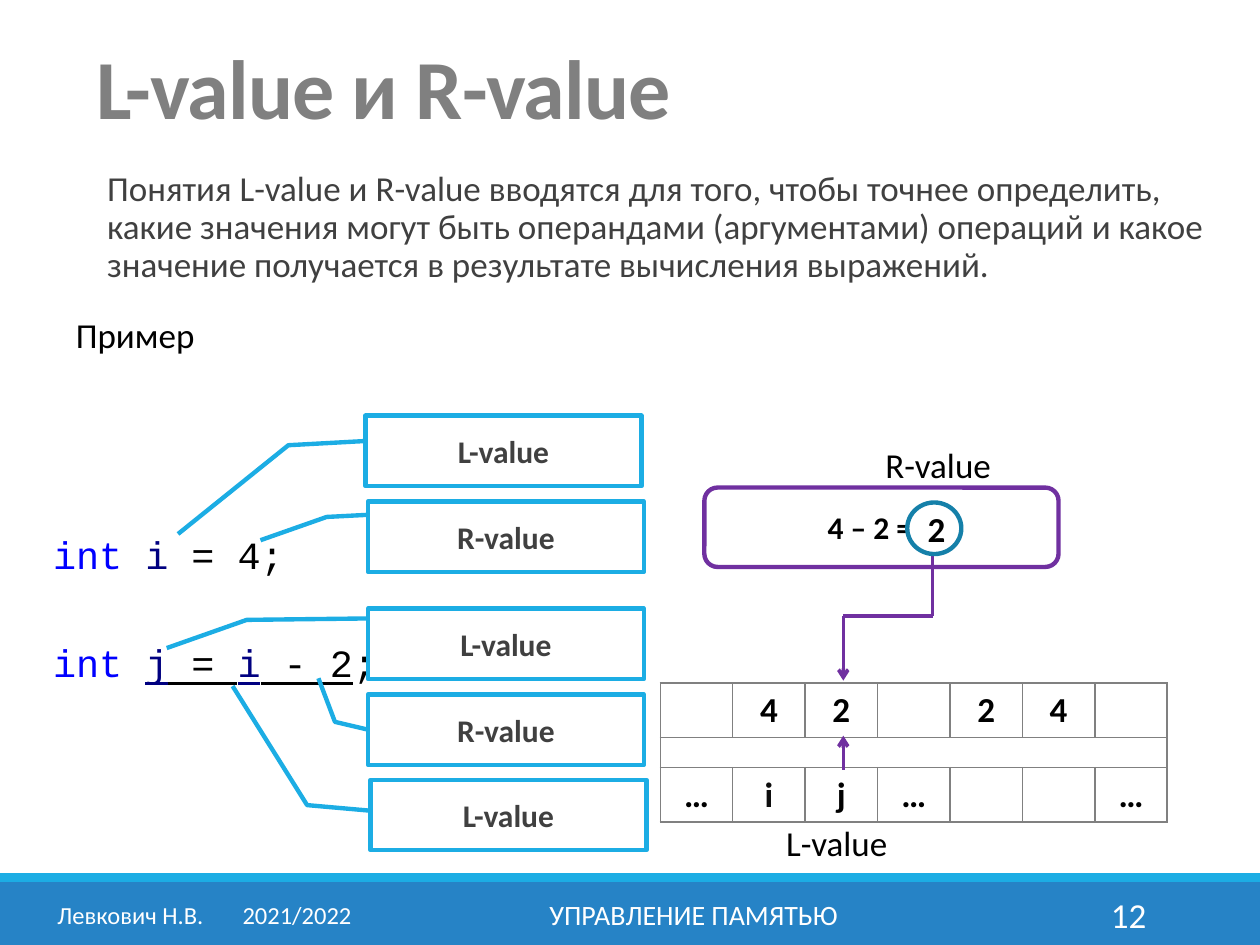
"""Build a slide explaining L-value and R-value with a memory table."""
from lxml import etree
from pptx import Presentation
from pptx import util as u
from pptx.dml.color import RGBColor
from pptx.enum import shapes, text
from pptx.oxml import ns

BLACK = RGBColor(0, 0, 0)
WHITE = RGBColor(0xFF, 0xFF, 0xFF)
GRAY = RGBColor(0x80, 0x80, 0x80)
DARK = RGBColor(0x40, 0x40, 0x40)
INK = RGBColor(0x0D, 0x0D, 0x0D)
BLUE = RGBColor(0x26, 0x83, 0xC6)
SKY = RGBColor(0x1C, 0xAD, 0xE4)
TEAL = RGBColor(0x15, 0x80, 0xA9)
PURPLE = RGBColor(0x70, 0x30, 0xA0)
KEYWORD = RGBColor(0, 0, 0xFF)
VARIABLE = RGBColor(0, 0, 0x80)

SHAPE = shapes.MSO_SHAPE
LEFT, CENTER, RIGHT = text.PP_ALIGN.LEFT, text.PP_ALIGN.CENTER, text.PP_ALIGN.RIGHT
TOP, MIDDLE, BOTTOM = text.MSO_ANCHOR.TOP, text.MSO_ANCHOR.MIDDLE, text.MSO_ANCHOR.BOTTOM


def add_xml(parent, tag, **attributes):
    return etree.SubElement(parent, ns.qn(tag), attributes)


class Board:
    def __init__(self, slide, face="Calibri"):
        self.slide = slide
        self.face = face

    def style(self, paragraph, size, color=BLACK, bold=False, align=LEFT, face=None):
        paragraph.alignment = align
        font = paragraph.font
        font.name, font.size, font.bold = face or self.face, u.Pt(size), bold
        font.color.rgb = color

    def label(self, box, words, size, color=BLACK, bold=False, align=LEFT,
              anchor=TOP, inset=0.25, spacing=None, indent=0, tab=None):
        frame = self.slide.shapes.add_textbox(*map(u.Cm, box)).text_frame
        frame.word_wrap = True
        frame.vertical_anchor = anchor
        frame.margin_left = frame.margin_right = u.Cm(inset)
        paragraph = frame.paragraphs[0]
        paragraph.text = words
        paragraph.line_spacing = spacing
        properties = paragraph._p.get_or_add_pPr()
        if indent:
            properties.set("marL", str(u.Cm(indent)))
        if tab:
            stops = add_xml(properties, "a:tabLst")
            add_xml(stops, "a:tab", pos=str(u.Cm(tab)), algn="l")
        self.style(paragraph, size, color, bold, align)
        return frame

    def code(self, frame, pieces, size, space_before):
        line = frame.add_paragraph()
        line.space_before = u.Pt(space_before)
        self.style(line, size, face="Courier New")
        for words, color, underline in pieces:
            run = line.add_run()
            run.text = words
            run.font.color.rgb = color
            if underline:
                run.font.underline = True

    def shape(self, kind, box, fill=None, line=None, words="", size=18,
              color=BLACK, adjustments=()):
        shape = self.slide.shapes.add_shape(kind, *map(u.Cm, box))
        shape.shadow.inherit = False
        for index, value in enumerate(adjustments):
            shape.adjustments[index] = value
        if fill is None:
            shape.fill.background()
        else:
            shape.fill.solid()
            shape.fill.fore_color.rgb = fill
        if line is None:
            shape.line.fill.background()
        else:
            shape.line.color.rgb = line
            shape.line.width = u.Pt(2.5)
        if words:
            shape.text_frame.vertical_anchor = MIDDLE
            paragraph = shape.text_frame.paragraphs[0]
            paragraph.text = words
            self.style(paragraph, size, color, True, CENTER)

    def line(self, start, end, arrow=False):
        line = self.slide.shapes.add_connector(
            shapes.MSO_CONNECTOR.STRAIGHT, *map(u.Cm, (*start, *end)))
        line.line.color.rgb = PURPLE
        line.line.width = u.Pt(2)
        if arrow:
            add_xml(line.line._get_or_add_ln(), "a:headEnd", type="arrow")
        add_xml(line._element.spPr, "a:effectLst")

    def border(self, cell, sides):
        properties = cell._tc.get_or_add_tcPr()
        for position, side in enumerate("LRTB"):
            edge = etree.Element(ns.qn(f"a:ln{side}"), w=str(u.Pt(1)))
            if side in sides:
                fill = add_xml(edge, "a:solidFill")
                add_xml(fill, "a:srgbClr", val=str(GRAY))
            else:
                add_xml(edge, "a:noFill")
            properties.insert(position, edge)

    def memory(self, left, top, column_width, heights, rows):
        count = len(rows[0])
        table = self.slide.shapes.add_table(
            len(rows), count, u.Cm(left), u.Cm(top),
            u.Cm(column_width * count), u.Cm(sum(heights))).table
        table.first_row = table.horz_banding = False
        for column in table.columns:
            column.width = u.Cm(column_width)
        for r, values in enumerate(rows):
            table.rows[r].height = u.Cm(heights[r])
            spacer = not any(values)
            for c, value in enumerate(values):
                cell = table.cell(r, c)
                if r:
                    cell.fill.solid()
                    cell.fill.fore_color.rgb = WHITE
                else:
                    cell.fill.background()
                if spacer:
                    cell.margin_top = cell.margin_bottom = 0
                    outer = {0: "L", count - 1: "R"}.get(c, "")
                    self.border(cell, "TB" + outer)
                else:
                    self.border(cell, "LRTB")
                paragraph = cell.text_frame.paragraphs[0]
                paragraph.text = value
                self.style(paragraph, 8 if spacer else 20,
                           INK if value == "i" else BLACK, True, CENTER)


def main():
    deck = Presentation()
    deck.slide_width, deck.slide_height = u.Cm(25.4), u.Cm(19.05)
    board = Board(deck.slides.add_slide(deck.slide_layouts[6]))

    board.shape(SHAPE.RECTANGLE, (0, 17.78, 25.4, 1.27), BLUE)
    board.shape(SHAPE.RECTANGLE, (0, 17.6, 25.4, 0.18), SKY)
    board.shape(SHAPE.ROUNDED_RECTANGLE, (14.2, 9.83, 7.14, 1.6),
                line=PURPLE, words="4 – 2 = 2")
    board.label((20.62, 17.93, 2.74, 1.02), "12", 20, WHITE, align=RIGHT, anchor=MIDDLE)

    result_x, cell_x, bend_y = 18.8, 17, 12.42
    board.line((result_x, bend_y), (result_x, 11.13))
    board.memory(13.31, 13.77, 1.46, (1.1, 0.6, 1.1), (
        ("", "4", "2", "", "2", "4", ""),
        ("",) * 7,
        ("…", "i", "j", "…", "", "", "…")))
    board.shape(SHAPE.OVAL, (18.29, 10.13, 1.09, 1.04), WHITE, TEAL, "2", 20)
    board.line((result_x, bend_y), (cell_x, bend_y))
    board.line((cell_x, 14.83), (cell_x, 15.52), arrow=True)
    board.label((15.6, 16.43, 3.51, 1.12), "L-value", 20)
    board.label((17.6, 8.81, 3.51, 1.12), "R-value", 20)
    board.line((cell_x, 13.72), (cell_x, bend_y), arrow=True)

    title = board.label((1.7, 0.33, 22.28, 2.54), "L-value и R-value", 48, GRAY, True,
                        anchor=BOTTOM, spacing=0.85)
    title.paragraphs[0].runs[0]._r.get_or_add_rPr().set("spc", "-50")
    board.label((0.81, 17.93, 6.63, 1.02), "Левкович Н.В.\t2021/2022", 14, WHITE,
                align=CENTER, anchor=MIDDLE, tab=3.73)
    board.label((7.67, 17.93, 12.62, 1.02), "УПРАВЛЕНИЕ ПАМЯТЬЮ", 16, WHITE,
                align=CENTER, anchor=MIDDLE)
    board.label((0.89, 3.33, 23.8, 3),
                "Понятия L-value и R-value вводятся для того, чтобы точнее определить, "
                "какие значения могут быть операндами (аргументами) операций и какое "
                "значение получается в результате вычисления выражений.",
                20, DARK, inset=0, spacing=0.9, indent=1.27)

    example = board.label((1.07, 6.3, 12.7, 7.65), "Пример", 20,
                          inset=0, spacing=0.9, indent=0.46)
    board.code(example, (("int", KEYWORD, False), (" ", BLACK, False),
                         ("i", VARIABLE, False), (" = 4;", BLACK, False)), 22, 100)
    board.code(example, (("int", KEYWORD, False), (" ", BLACK, False),
                         ("j", VARIABLE, True), (" = ", BLACK, True),
                         ("i", VARIABLE, True), (" - 2", BLACK, True),
                         (";", BLACK, False)), 22, 35)

    for words, left, top, pointer in (
            ("L-value", 7.37, 8.38, (0.36, 0, 0.42, -0.28, 1.68, -0.68)),
            ("R-value", 7.42, 14, (0.5, 0, 0.39, -0.12, -0.23, -0.18)),
            ("L-value", 7.42, 12.27, (0.14, 0, 0.16, -0.44, 0.56, -0.73)),
            ("L-value", 7.47, 15.72, (0.44, 0, 0.36, -0.23, -1.33, -0.5)),
            ("R-value", 7.42, 10.11, (0.19, 0, 0.22, -0.15, 0.55, -0.39))):
        board.shape(SHAPE.LINE_CALLOUT_2, (left, top, 5.56, 1.42), WHITE, SKY,
                    words, color=DARK, adjustments=pointer)

    deck.save("out.pptx")


if __name__ == "__main__":
    main()
